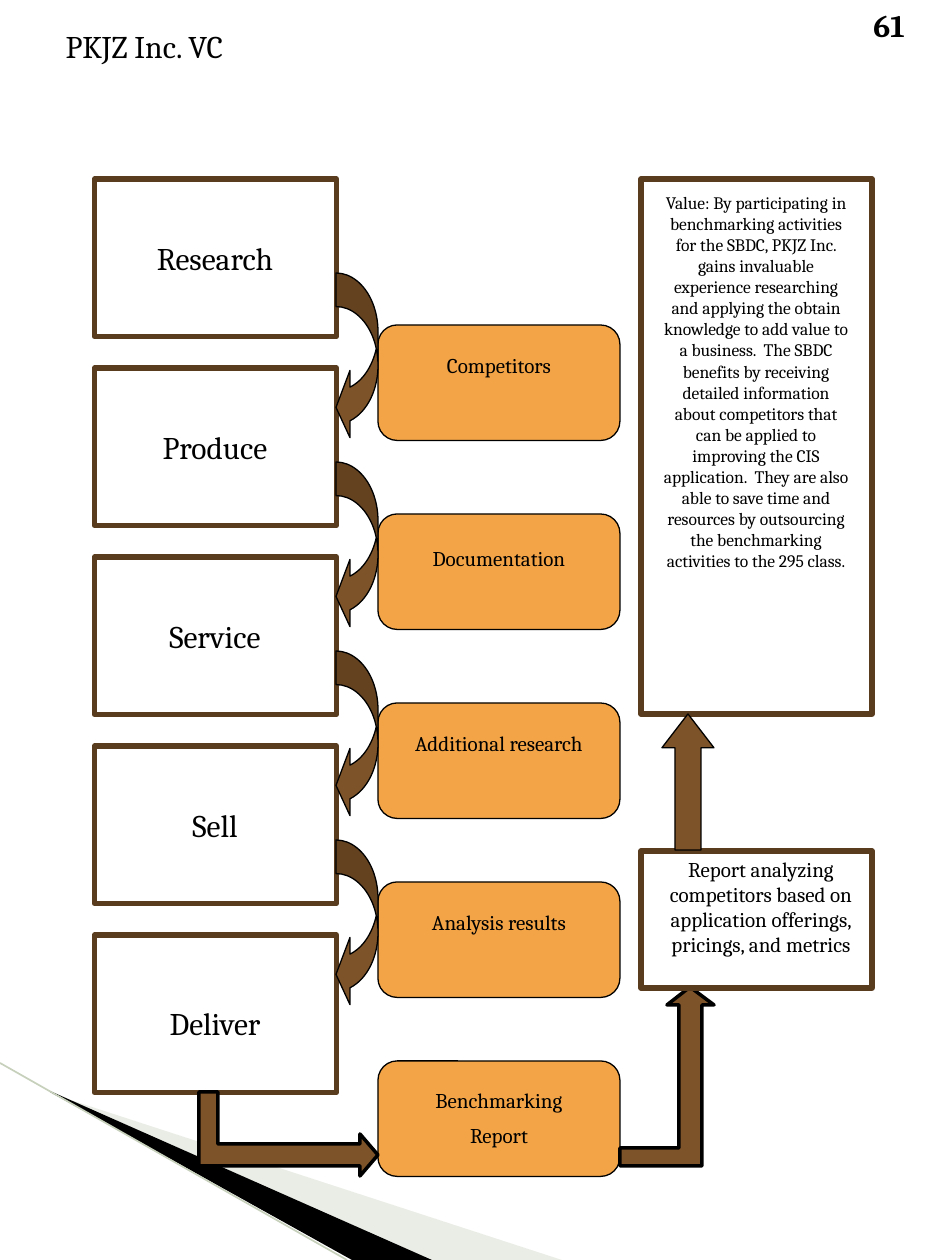
from dataclasses import dataclass

from lxml import etree
from pptx import Presentation
from pptx import util as u
from pptx.dml.color import RGBColor
from pptx.enum import shapes, text
from pptx.oxml.ns import qn


@dataclass(frozen=True)
class Theme:
    font: str = "Cambria"
    ink: str = "000000"
    frame: str = "593B1D"
    arrow: str = "7D5329"
    card: str = "F3A447"
    sage: str = "CBD4C0"
    rule: str = "C6D0BB"
    large: int = 18
    mid: int = 12
    small: int = 10


T = Theme()
KIND = shapes.MSO_SHAPE
PX = 914400 / 126
WIDE, HIGH = 945, 1260

TITLE = "PKJZ Inc. VC"
PAGE = "61"
STEPS = [("Research", 233), ("Produce", 422), ("Service", 611),
         ("Sell", 800), ("Deliver", 998)]
TASKS = [("Competitors", 325, 346), ("Documentation", 514, 539),
         ("Additional research", 703, 724), ("Analysis results", 882, 903),
         ("Benchmarking\nReport", 1061, 1081)]
VALUE = ("Value: By participating in benchmarking activities for the SBDC, "
         "PKJZ Inc. gains invaluable experience researching and applying the "
         "obtain knowledge to add value to a business.  The SBDC benefits by "
         "receiving detailed information about competitors that can be applied "
         "to improving the CIS application.  They are also able to save time "
         "and resources by outsourcing the benchmarking activities to the 295 "
         "class.")
REPORT = ("Report analyzing competitors based on application offerings, "
          "pricings, and metrics")

SWEEPS = [
    (T.sage, 40, [(52, 1094), (562, 1260), (431, 1260), (52, 1092)]),
    (T.ink, 100, [(50, 1091), (432, 1260), (352, 1260), (50, 1092)]),
]
BENDS = [
    [(218, 1092), (218, 1144), (360, 1144), (360, 1134), (378, 1155),
     (360, 1176), (360, 1166), (199, 1166), (199, 1092)],
    [(620, 1148), (679, 1148), (679, 1005), (667, 1005), (690, 987),
     (714, 1005), (702, 1005), (702, 1166), (620, 1166)],
]
TOP, STEP = 179, 189


def px(n):
    return round(n * PX)


def paint(shape, fill=None, line=None, width=0.75):
    shape.shadow.inherit = False
    if fill:
        shape.fill.solid()
        shape.fill.fore_color.rgb = RGBColor.from_string(fill)
    else:
        shape.fill.background()
    if line:
        shape.line.color.rgb = RGBColor.from_string(line)
        shape.line.width = u.Pt(width)
    else:
        shape.line.fill.background()


def block(slide, kind, area, fill=None, line=T.ink, width=0.75, adj=()):
    shape = slide.shapes.add_shape(kind, *map(px, area))
    paint(shape, fill, line, width)
    for i, n in enumerate(adj):
        shape.adjustments[i] = n


def outline(slide, points):
    build = slide.shapes.build_freeform(*points[0], scale=PX)
    build.add_line_segments(points[1:], close=True)
    return build.convert_to_shape()


def write(shape, words, size, area, bold=False, align=text.PP_ALIGN.CENTER):
    shape.left, shape.top, shape.width, shape.height = map(px, area)
    frame = shape.text_frame
    frame.text = words
    frame.word_wrap = True
    frame.auto_size = text.MSO_AUTO_SIZE.NONE
    frame.vertical_anchor = text.MSO_ANCHOR.TOP
    for i, para in enumerate(frame.paragraphs):
        para.alignment = align
        para.space_before = u.Pt(6 if i else 0)
        for run in para.runs:
            font = run.font
            font.name, font.size, font.bold = T.font, u.Pt(size), bold
            font.color.rgb = RGBColor.from_string(T.ink)


def label(slide, words, size, area, **style):
    box = slide.shapes.add_textbox(0, 0, 0, 0)
    write(box, words, size, area, **style)


def backdrop(slide):
    for fill, alpha, points in SWEEPS:
        shape = outline(slide, points)
        paint(shape, fill)
        if alpha < 100:
            tone = shape.fill._xPr.find(qn("a:solidFill"))[0]
            etree.SubElement(tone, qn("a:alpha"), val=str(alpha * 1000))
    rule = slide.shapes.add_connector(
        shapes.MSO_CONNECTOR.STRAIGHT, *map(px, (0, 1063, 347, 1260)))
    rule.line.color.rgb = RGBColor.from_string(T.rule)
    rule.line.width = u.Pt(0.95)
    etree.SubElement(rule._element.spPr, qn("a:effectLst"))


def main():
    deck = Presentation()
    deck.slide_width, deck.slide_height = px(WIDE), px(HIGH)
    slide = deck.slides.add_slide(deck.slide_layouts[5])
    left = text.PP_ALIGN.LEFT

    backdrop(slide)
    write(slide.shapes.title, TITLE, T.large, (53, 21, 788, 50), align=left)
    label(slide, PAGE, T.large, (861, 0, 73, 50), bold=True, align=left)

    for i in range(len(STEPS)):
        block(slide, KIND.RECTANGLE, (94.5, TOP + i * STEP, 242, 157.5),
              line=T.frame, width=3)
    for _, y, _ in TASKS:
        block(slide, KIND.ROUNDED_RECTANGLE, (378, y, 242, 115.5), T.card,
              adj=[0.167])
    for i in range(len(STEPS) - 1):
        block(slide, KIND.CURVED_LEFT_ARROW, (336, 273 + i * STEP, 42, 168),
              T.arrow, adj=[0.8, 1.6, 0.333])
    for points in BENDS:
        paint(outline(slide, points), T.arrow, T.ink, 2)
    for y, h in [(TOP, 535), (851, 137)]:
        block(slide, KIND.RECTANGLE, (641, y, 231, h), line=T.frame, width=3)
    block(slide, KIND.UP_ARROW, (662, 714, 52, 136), T.arrow, adj=[0.5, 0.65])

    for words, y in STEPS:
        label(slide, words, T.large, (105, y, 220, 50))
    for words, _, y in TASKS:
        label(slide, words, T.mid, (378, y, 242, 77 if "\n" in words else 38))
    label(slide, VALUE, T.small, (651, 186, 210, 459))
    label(slide, REPORT, T.mid, (651, 850, 220, 137))

    deck.save("out.pptx")


if __name__ == "__main__":
    main()
